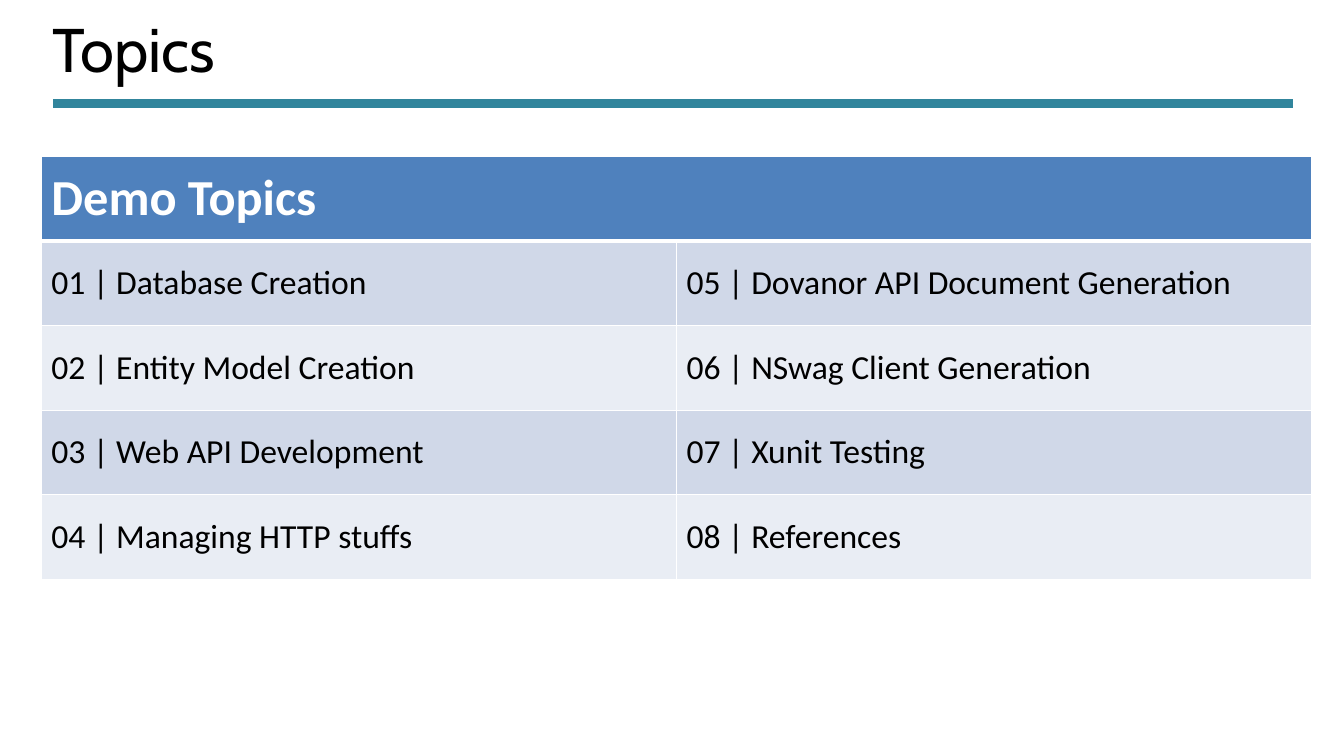
from lxml import etree
from pptx import Presentation
from pptx.dml.color import RGBColor
from pptx.enum import shapes, text
from pptx.oxml import ns
from pptx.util import Inches, Pt

HEAD = "Demo Topics"
TOPICS = ["Database Creation", "Entity Model Creation", "Web API Development",
          "Managing HTTP stuffs", "Dovanor API Document Generation",
          "NSwag Client Generation", "Xunit Testing", "References"]
BANDS = ["D0D8E8", "E9EDF4"]


def color(code):
    """Turn a hex string into a colour."""
    return RGBColor.from_string(code)


def style(para, size, face, code, bold=False):
    """Format every run of a paragraph."""
    for run in para.runs:
        font = run.font
        font.size, font.name, font.bold = Pt(size), face, bold
        font.color.rgb = color(code)


def edge(cell, top=1, bottom=1):
    """Give a cell white borders, with widths in points."""
    props = cell._tc.get_or_add_tcPr()
    sides = {"lnL": 1, "lnR": 1, "lnT": top, "lnB": bottom}
    for spot, (tag, width) in enumerate(sides.items()):
        line = etree.Element(ns.qn("a:" + tag), w=str(Pt(width)))
        fill = etree.SubElement(line, ns.qn("a:solidFill"))
        etree.SubElement(fill, ns.qn("a:srgbClr"), val="FFFFFF")
        props.insert(spot, line)


def paint(cell, words, back, size, code, bold=False):
    """Fill a cell and set its words."""
    cell.text_frame.text = words
    cell.vertical_anchor = text.MSO_ANCHOR.MIDDLE
    cell.fill.solid()
    cell.fill.fore_color.rgb = color(back)
    style(cell.text_frame.paragraphs[0], size, "Calibri", code, bold)


def title(slide, words, left, top, width, height):
    """Place the title and the rule that crosses its box."""
    box = slide.shapes.add_textbox(*map(Inches, (left, top, width, height)))
    frame = box.text_frame
    frame.word_wrap = True
    frame.text = words
    para = frame.paragraphs[0]
    para.line_spacing = 0.8
    style(para, 44, "Cabin", "000000")
    level = Inches(top + 0.83)
    rule = slide.shapes.add_connector(
        shapes.MSO_CONNECTOR.STRAIGHT, Inches(left + 0.11), level,
        Inches(left + width - 0.2), level)
    rule.line.width = Pt(6.5)
    rule.line.color.rgb = color("31859C")
    etree.SubElement(rule._element.spPr, ns.qn("a:effectLst"))


def agenda(slide, left, top, width, height):
    """Place the topic table, numbered down each column."""
    count = len(TOPICS) // 2
    grid = slide.shapes.add_table(
        count + 1, 2, *map(Inches, (left, top, width, height))).table
    grid.horz_banding = False
    for row in grid.rows:
        row.height = Inches(height / (count + 1))
    grid.cell(0, 0).merge(grid.cell(0, 1))
    paint(grid.cell(0, 0), HEAD, "4F81BD", 36, "FFFFFF", True)
    for col in range(2):
        edge(grid.cell(0, col), bottom=3)
    for spot, topic in enumerate(TOPICS):
        col, row = divmod(spot, count)
        cell = grid.cell(row + 1, col)
        paint(cell, f"{spot + 1:02} | {topic}", BANDS[row % 2], 24, "000000")
        edge(cell, top=1 if row else 3)


def main():
    """Build and save the slide."""
    deck = Presentation()
    deck.slide_width, deck.slide_height = Inches(13.33), Inches(7.5)
    slide = deck.slides.add_slide(deck.slide_layouts[6])
    title(slide, "Topics", 0.42, 0.2, 12.6, 1.16)
    agenda(slide, 0.41, 1.55, 12.6, 4.2)
    deck.save("out.pptx")


main()
